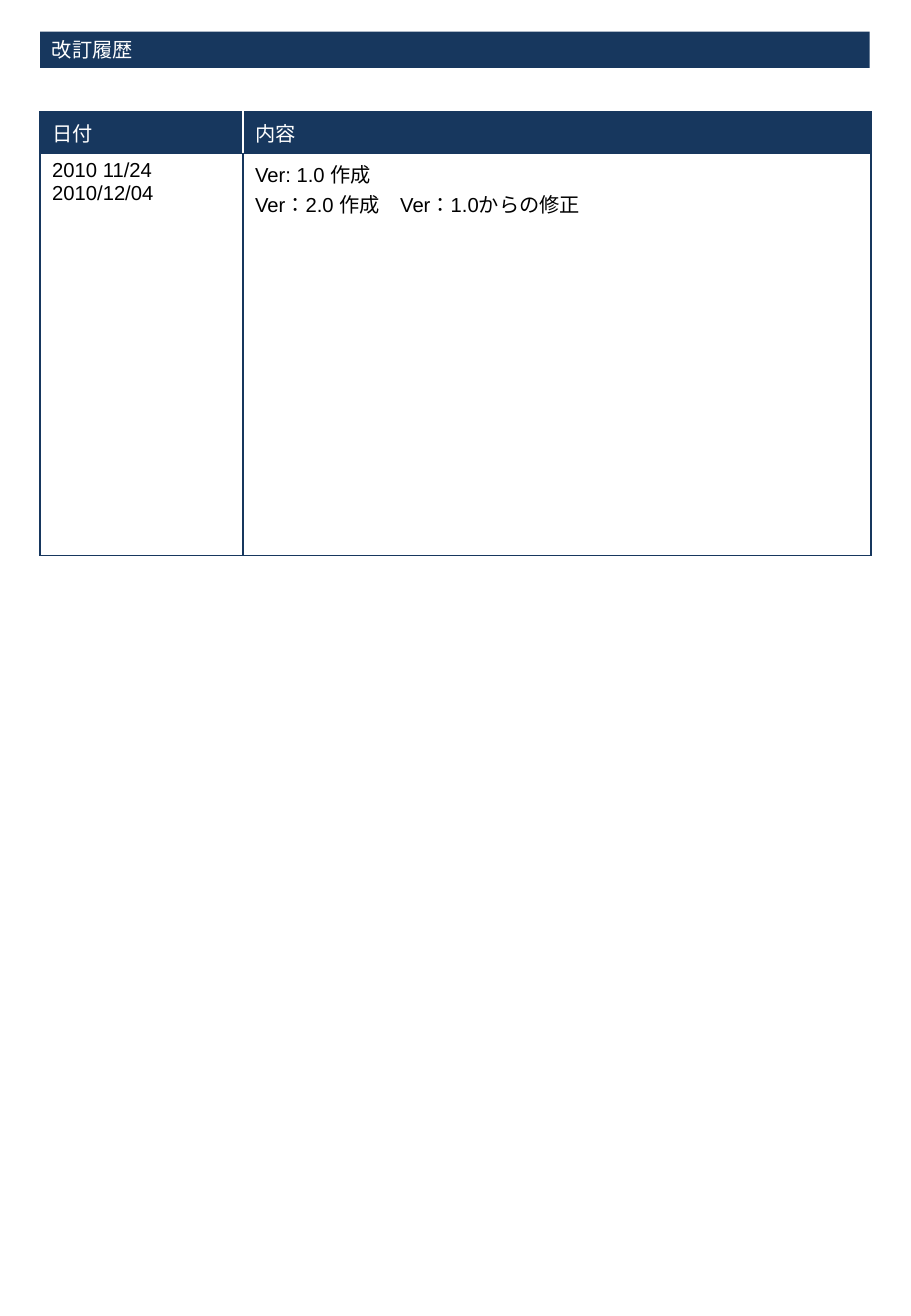
"""Build a revision history page with a title bar and a two-column table."""
from dataclasses import dataclass

from lxml.etree import SubElement as Sub
from pptx import Presentation
from pptx.dml.color import RGBColor
from pptx.enum.lang import MSO_LANGUAGE_ID as Lang
from pptx.enum.shapes import MSO_SHAPE as Kind
from pptx.enum.text import MSO_ANCHOR as Anchor, PP_ALIGN as Align
from pptx.oxml.ns import qn
from pptx.slide import Slide
from pptx.table import _Cell as Cell
from pptx.text.text import TextFrame as Frame
from pptx.util import Inches, Pt

NAVY = RGBColor(0x17, 0x37, 0x5E)
WHITE = RGBColor(0xFF, 0xFF, 0xFF)
BLACK = RGBColor(0x00, 0x00, 0x00)
LEFT = 0.33
WIDTHS = (1.67, 5.17)


@dataclass(frozen=True)
class Row:
    height: float
    cells: tuple[str, ...]
    color: RGBColor
    inner: RGBColor
    fill: RGBColor | None = None


ROWS = (
    Row(0.34, ("日付", "内容"), WHITE, WHITE, NAVY),
    Row(3.31, ("2010 11/24\n2010/12/04",
               "Ver: 1.0 作成\nVer：2.0 作成　Ver：1.0からの修正"), BLACK, NAVY),
)


def write(frame: Frame, text: str, *, color: RGBColor,
          face: str = "Arial", size: float = 12) -> None:
    frame.text = text
    frame.word_wrap = True
    for para in frame.paragraphs:
        para.alignment = Align.LEFT
        for run in para.runs:
            font = run.font
            font.name, font.size, font.bold = face, Pt(size), False
            font.color.rgb = color
            font.language_id = Lang.JAPANESE


def edge(cell: Cell, sides: dict[str, RGBColor]) -> None:
    props = cell._tc.get_or_add_tcPr()
    for index, (side, color) in enumerate(sides.items()):
        line = Sub(props, qn(f"a:ln{side}"), w=str(Pt(1)))
        fill = Sub(line, qn("a:solidFill"))
        Sub(fill, qn("a:srgbClr"), val=str(color))
        props.insert(index, line)


def add_bar(slide: Slide, text: str) -> None:
    bar = slide.shapes.add_shape(Kind.RECTANGLE, Inches(LEFT), Inches(0.26),
                                 Inches(6.83), Inches(0.3))
    bar.shadow.inherit = False
    bar.fill.solid()
    bar.fill.fore_color.rgb = NAVY
    bar.line.fill.background()
    bar.text_frame.vertical_anchor = Anchor.MIDDLE
    write(bar.text_frame, text, color=WHITE, face="Calibri")


def add_grid(slide: Slide, rows: tuple[Row, ...]) -> None:
    total = sum(row.height for row in rows)
    grid = slide.shapes.add_table(len(rows), len(WIDTHS), Inches(LEFT), Inches(0.92),
                                  Inches(sum(WIDTHS)), Inches(total)).table
    grid.first_row = grid.horz_banding = False
    for column, width in zip(grid.columns, WIDTHS):
        column.width = Inches(width)
    last = len(WIDTHS) - 1
    for r, row in enumerate(rows):
        grid.rows[r].height = Inches(row.height)
        for c, text in enumerate(row.cells):
            cell = grid.cell(r, c)
            write(cell.text_frame, text, color=row.color)
            if row.fill is None:
                cell.fill.background()
            else:
                cell.fill.solid()
                cell.fill.fore_color.rgb = row.fill
            edge(cell, {"L": row.inner if c else NAVY,
                        "R": row.inner if c < last else NAVY,
                        "T": NAVY, "B": NAVY})


def main() -> None:
    deck = Presentation()
    deck.slide_width, deck.slide_height = Inches(7.5), Inches(10.83)
    slide = deck.slides.add_slide(deck.slide_layouts[6])
    add_grid(slide, ROWS)
    add_bar(slide, "改訂履歴")
    deck.save("out.pptx")


if __name__ == "__main__":
    main()
